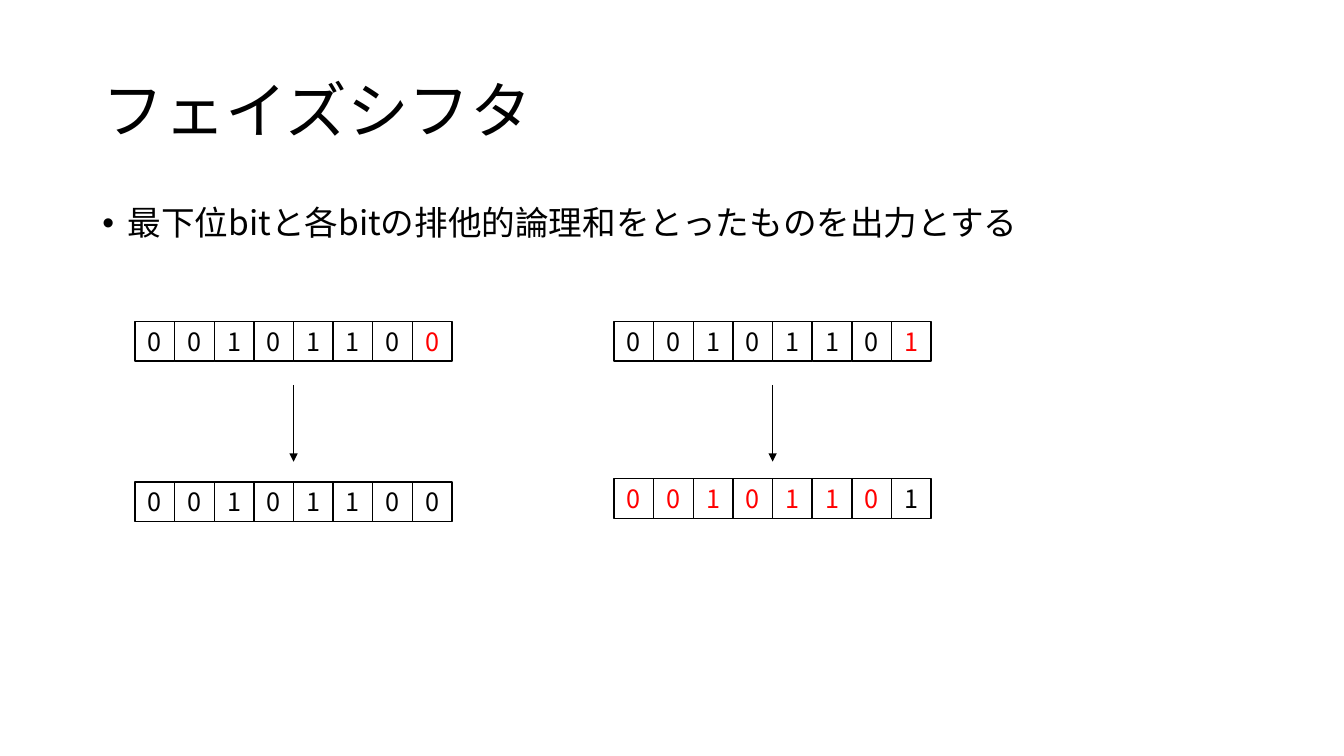
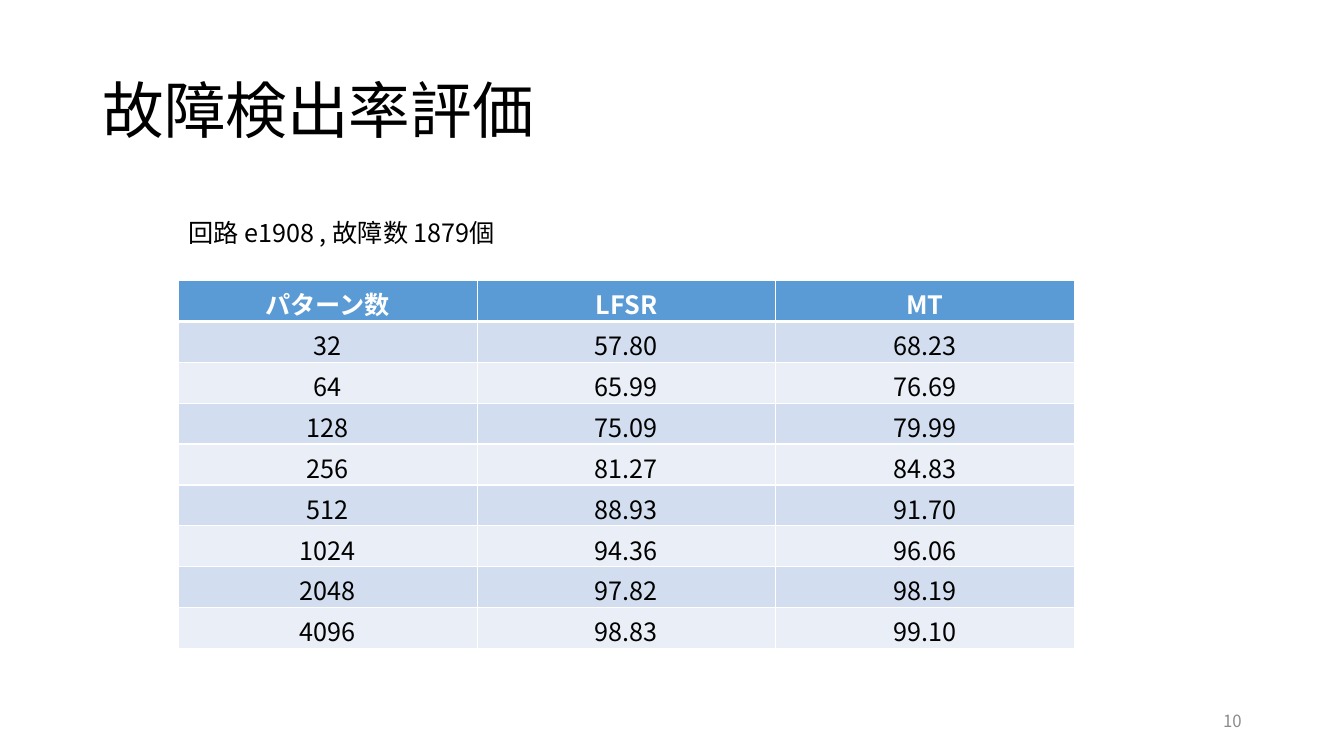
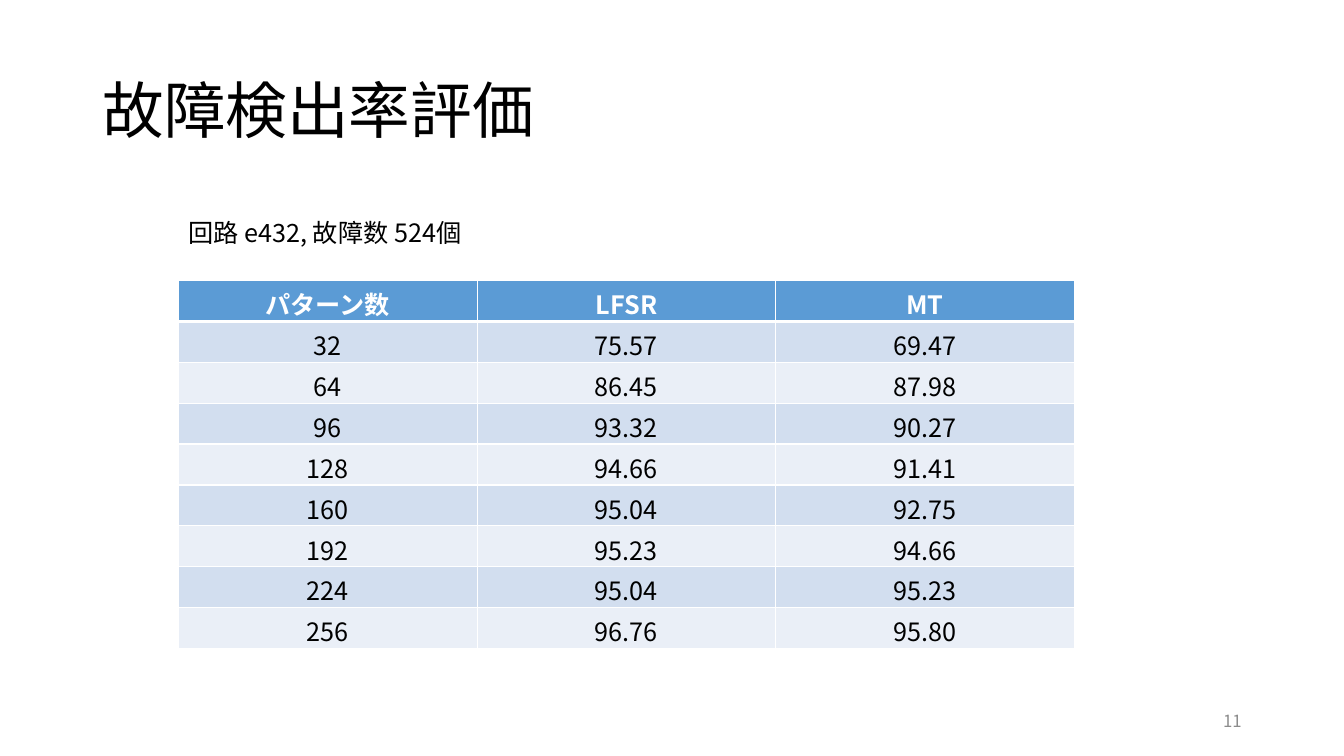
from lxml.etree import SubElement
from pptx import Presentation
from pptx.dml.color import RGBColor
from pptx.enum.shapes import MSO_CONNECTOR as Connector, MSO_SHAPE as Preset
from pptx.enum.text import MSO_ANCHOR as Anchor, MSO_AUTO_SIZE as AutoSize, PP_ALIGN as Align
from pptx.oxml import parse_xml
from pptx.oxml.ns import nsdecls, qn
from pptx.util import Pt

FONT = "Noto Sans CJK JP"
BLACK = RGBColor(0x00, 0x00, 0x00)
WHITE = RGBColor(0xFF, 0xFF, 0xFF)
RED = RGBColor(0xFF, 0x00, 0x00)
GRAY = RGBColor(0x8C, 0x8C, 0x8C)
HEADER_BLUE = RGBColor(0x5B, 0x9B, 0xD5)
BANDS = (RGBColor(0xD2, 0xDE, 0xEF), RGBColor(0xEA, 0xEF, 0xF7))

# Boxes are left, top, width, height in points.
SLIDE_SIZE = (960, 540)
TITLE_BOX = (66, 28.8, 828, 104.4)
BODY_BOX = (66, 144, 828, 342.7)
NUMBER_BOX = (678, 500.5, 216, 28.8)
CAPTION_BOX = (127.5, 152, 335.5, 29)
TABLE_BOX = (127.5, 200.4, 640, 262.8)
BIT_SIZE = 28.3
BIT_COUNT = 8

TITLE_AND_CONTENT, TITLE_ONLY = 1, 5


def points(values):
    """Turn a box or size into point lengths."""
    return [Pt(value) for value in values]


def write(frame, text, size, color=BLACK, align=Align.LEFT, bold=False):
    """Set a frame to one formatted paragraph and return it."""
    frame.text = text
    para = frame.paragraphs[0]
    para.alignment = align
    for span in para.runs:
        span.font.size = Pt(size)
        span.font.bold = bold
        span.font.color.rgb = color
        span.font.name = FONT
        SubElement(span.font._element, qn("a:ea"), typeface=FONT)
    return para


def place(holder, box):
    """Move a placeholder to a box."""
    holder.left, holder.top, holder.width, holder.height = points(box)
    holder.text_frame.auto_size = AutoSize.NONE


def add_page(deck, layout, title):
    """Add a slide with the shared title style."""
    page = deck.slides.add_slide(deck.slide_layouts[layout])
    holder = page.shapes.title
    place(holder, TITLE_BOX)
    holder.text_frame.vertical_anchor = Anchor.MIDDLE
    write(holder.text_frame, title, 44).line_spacing = 0.9
    return page


def add_bullet(page, text, box):
    """Fill the body placeholder with one bullet."""
    holder = page.placeholders[1]
    place(holder, box)
    para = write(holder.text_frame, text, 24)
    para.line_spacing = 0.9
    para.space_before = Pt(10)
    properties = para._p.get_or_add_pPr()
    properties.set("marL", str(Pt(18)))
    properties.set("indent", str(-Pt(18)))
    SubElement(properties, qn("a:buFont"), typeface="Arial")
    SubElement(properties, qn("a:buChar"), char="•")


def add_text(page, text, box, size, color=BLACK, align=Align.LEFT):
    """Add a wrapping text box and return its frame."""
    frame = page.shapes.add_textbox(*points(box)).text_frame
    frame.word_wrap = True
    write(frame, text, size, color, align)
    return frame


def add_register(page, left, top, bits, colors):
    """Draw a row of bit squares as one group."""
    group = page.shapes.add_group_shape()
    for index, (bit, color) in enumerate(zip(bits, colors)):
        box = (left + index * BIT_SIZE, top, BIT_SIZE, BIT_SIZE)
        square = group.shapes.add_shape(Preset.RECTANGLE, *points(box))
        square.shadow.inherit = False
        square.fill.solid()
        square.fill.fore_color.rgb = WHITE
        square.line.color.rgb = BLACK
        square.line.width = Pt(1)
        square.text_frame.vertical_anchor = Anchor.MIDDLE
        write(square.text_frame, bit, 18, color, Align.CENTER)


def add_down_arrow(page, x, top, bottom):
    """Draw a thin arrow pointing down."""
    arrow = page.shapes.add_connector(Connector.STRAIGHT, *points((x, top, x, bottom)))
    arrow.line.color.rgb = BLACK
    arrow.line.width = Pt(0.5)
    SubElement(arrow.line._get_or_add_ln(), qn("a:tailEnd"), type="triangle")
    SubElement(arrow._element.spPr, qn("a:effectLst"))


def add_shift(page, left, output_top, bits, output_colors):
    """Draw an input register, an arrow and the output register."""
    input_top = 229.7
    input_colors = [BLACK] * (BIT_COUNT - 1) + [RED]
    add_register(page, left, input_top, bits, input_colors)
    add_register(page, left, output_top, bits, output_colors)
    add_down_arrow(page, left + BIT_SIZE * BIT_COUNT / 2, input_top + 45.3, input_top + 100.1)


def style_cell(cell, fill, top, bottom):
    """Fill a cell and give it white borders of the given widths."""
    cell.fill.solid()
    cell.fill.fore_color.rgb = fill
    properties = cell._tc.get_or_add_tcPr()
    for index, (side, width) in enumerate(zip("LRTB", (1, 1, top, bottom))):
        border = parse_xml(
            f'<a:ln{side} {nsdecls("a")} w="{Pt(width)}"><a:solidFill>'
            f'<a:srgbClr val="{WHITE}"/></a:solidFill></a:ln{side}>')
        properties.insert(index, border)


def add_rate_table(page, rows, box):
    """Draw the banded table with a header row."""
    rows = [("パターン数", "LFSR", "MT"), *rows]
    table = page.shapes.add_table(len(rows), len(rows[0]), *points(box)).table
    for row_index, values in enumerate(rows):
        header = row_index == 0
        fill = HEADER_BLUE if header else BANDS[(row_index - 1) % 2]
        for column, value in enumerate(values):
            cell = table.cell(row_index, column)
            style_cell(cell, fill, 3 if row_index == 1 else 1, 3 if header else 1)
            write(cell.text_frame, value, 18, WHITE if header else BLACK, Align.CENTER, header)


def build_shifter_page(deck):
    """Build the phase shifter slide."""
    page = add_page(deck, TITLE_AND_CONTENT, "フェイズシフタ")
    add_bullet(page, "最下位bitと各bitの排他的論理和をとったものを出力とする", BODY_BOX)
    add_shift(page, 96.5, 344.2, "00101100", [BLACK] * BIT_COUNT)
    add_shift(page, 438.7, 342, "00101101", [RED] * (BIT_COUNT - 1) + [BLACK])


def build_rate_page(deck, number, caption, rows):
    """Build a fault detection rate slide."""
    page = add_page(deck, TITLE_ONLY, "故障検出率評価")
    frame = add_text(page, number, NUMBER_BOX, 12, GRAY, Align.RIGHT)
    frame.vertical_anchor = Anchor.MIDDLE
    add_rate_table(page, rows, TABLE_BOX)
    add_text(page, caption, CAPTION_BOX, 18).auto_size = AutoSize.SHAPE_TO_FIT_TEXT


RATES_E1908 = [
    ("32", "57.80", "68.23"),
    ("64", "65.99", "76.69"),
    ("128", "75.09", "79.99"),
    ("256", "81.27", "84.83"),
    ("512", "88.93", "91.70"),
    ("1024", "94.36", "96.06"),
    ("2048", "97.82", "98.19"),
    ("4096", "98.83", "99.10"),
]
RATES_E432 = [
    ("32", "75.57", "69.47"),
    ("64", "86.45", "87.98"),
    ("96", "93.32", "90.27"),
    ("128", "94.66", "91.41"),
    ("160", "95.04", "92.75"),
    ("192", "95.23", "94.66"),
    ("224", "95.04", "95.23"),
    ("256", "96.76", "95.80"),
]

deck = Presentation()
deck.slide_width, deck.slide_height = points(SLIDE_SIZE)
build_shifter_page(deck)
build_rate_page(deck, "10", "回路 e1908 , 故障数 1879個", RATES_E1908)
build_rate_page(deck, "11", "回路 e432, 故障数 524個", RATES_E432)
deck.save("out.pptx")
